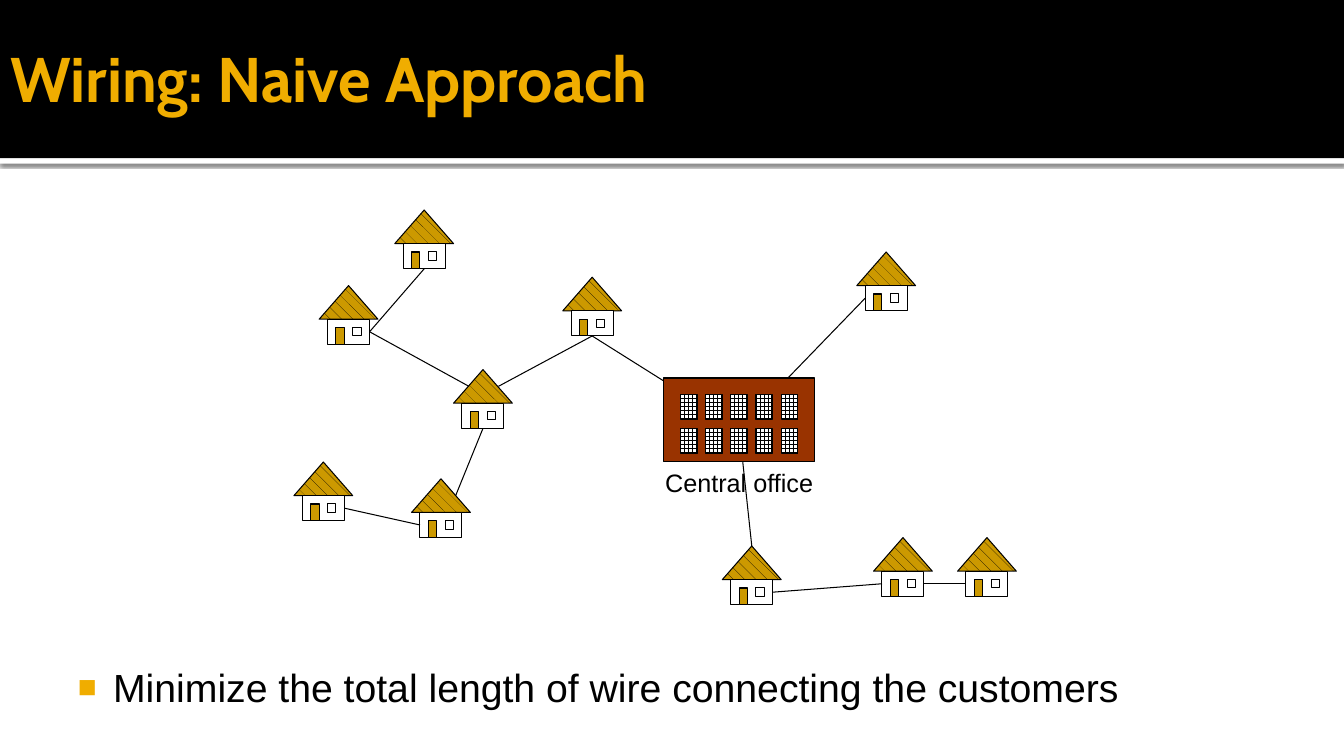
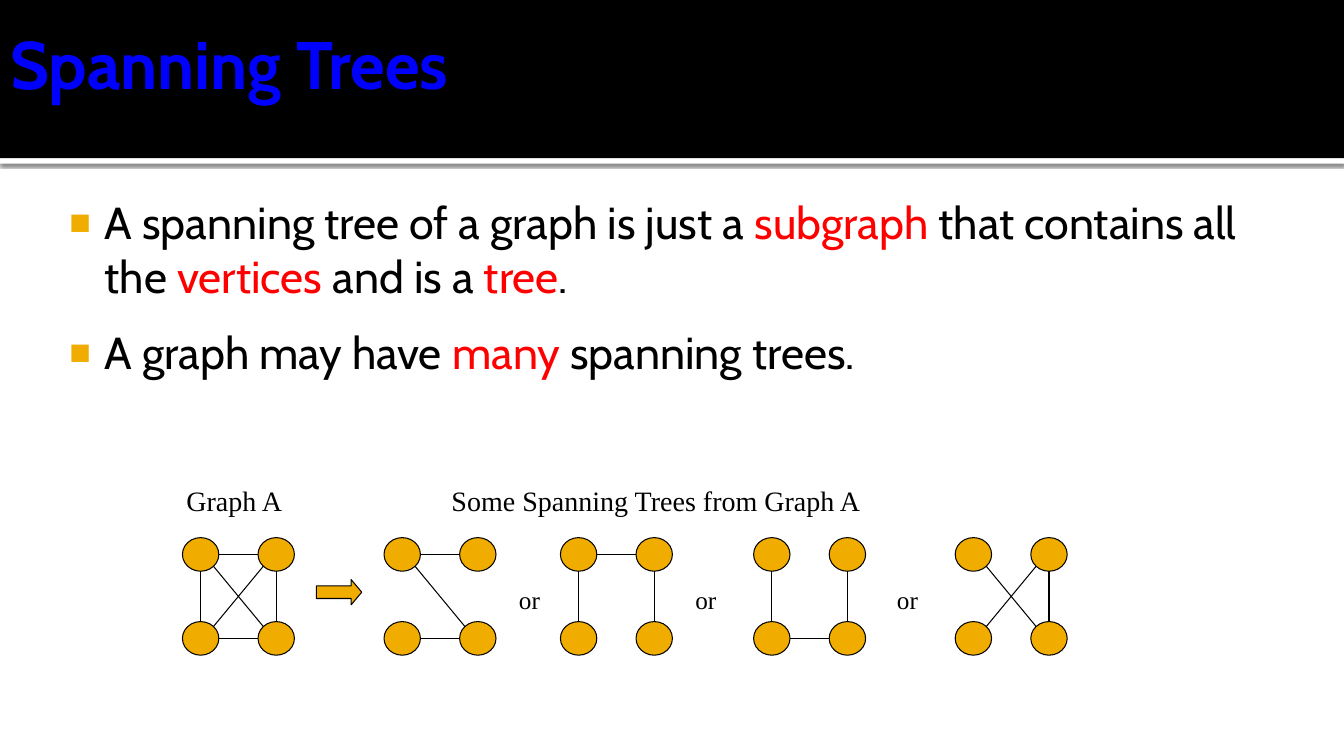
"""Build two slides on wiring a telephone network and on spanning trees."""
from lxml.etree import SubElement
from pptx import Presentation
from pptx.dml.color import RGBColor
from pptx.enum.dml import MSO_PATTERN
from pptx.enum.shapes import MSO_CONNECTOR, MSO_SHAPE
from pptx.enum.text import MSO_ANCHOR, MSO_AUTO_SIZE, PP_ALIGN
from pptx.oxml.ns import qn
from pptx.util import Pt

COLORS = {
    "black": "000000",
    "white": "FFFFFF",
    "gold": "F0AD00",
    "ochre": "CC9900",
    "brick": "993300",
    "blue": "0000FF",
    "red": "FF0000",
}
RGB = {name: RGBColor.from_string(value) for name, value in COLORS.items()}


def add_shape(s, kind, x, y, w, h, fill, pattern=None, outline=True):
    sp = s.shapes.add_shape(kind, Pt(x), Pt(y), Pt(w), Pt(h))
    sp.shadow.inherit = False
    if pattern:
        sp.fill.patterned()
        sp.fill.pattern = pattern
        sp.fill.fore_color.rgb = RGB["black"]
        sp.fill.back_color.rgb = RGB[fill]
    else:
        sp.fill.solid()
        sp.fill.fore_color.rgb = RGB[fill]
    if outline:
        sp.line.color.rgb = RGB["black"]
        sp.line.width = Pt(0.75)
    else:
        sp.line.fill.background()
    return sp


def add_line(s, x1, y1, x2, y2):
    line = s.shapes.add_connector(MSO_CONNECTOR.STRAIGHT, Pt(x1), Pt(y1), Pt(x2), Pt(y2))
    line.line.color.rgb = RGB["black"]
    line.line.width = Pt(0.75)
    SubElement(line._element.spPr, qn("a:effectLst"))


prs = Presentation()
prs.slide_width, prs.slide_height = Pt(960), Pt(540)
layout = prs.slide_layouts[5]
wiring, trees = [prs.slides.add_slide(layout) for _ in range(2)]

# The bands belong to the layout, so both slides inherit them.
rule = add_shape(wiring, MSO_SHAPE.RECTANGLE, 0, 113, 960, 4, "white", outline=False)
band = add_shape(wiring, MSO_SHAPE.RECTANGLE, 0, 0, 960, 113, "black", outline=False)
shadow = SubElement(rule._element.spPr.find(qn("a:effectLst")), qn("a:outerShdw"),
                    blurRad=str(Pt(2.5)), dist=str(Pt(0.8)), dir="5400000")
shade = SubElement(shadow, qn("a:srgbClr"), val=COLORS["black"])
SubElement(shade, qn("a:alpha"), val="60000")
for i, sp in enumerate([rule, band]):
    sp._element.nvSpPr.cNvPr.set("id", str(20 + i))
    layout.shapes.element.insert(2 + i, sp._element)

titles = [
    (wiring, "Wiring: Naive Approach", 98.6, 45, "gold"),
    (trees, "Spanning Trees", 77.8, 48, "blue"),
]
for s, text, height, size, color in titles:
    title = s.shapes.title
    title.left, title.top, title.width, title.height = Pt(0), Pt(5.8), Pt(864), Pt(height)
    tf = title.text_frame
    tf.text = text
    tf.auto_size = MSO_AUTO_SIZE.NONE
    tf.vertical_anchor = MSO_ANCHOR.MIDDLE
    tf.margin_left = Pt(7.2)
    tf.margin_right = tf.margin_top = tf.margin_bottom = Pt(3.6)
    p = tf.paragraphs[0]
    p.alignment = PP_ALIGN.LEFT
    font = p.runs[0].font
    font.name, font.size, font.bold = "Cabin", Pt(size), True
    font.color.rgb = RGB[color]

bodies = [
    (wiring, 42, 466.5, 864, 49, "Arial", 28,
     ["Minimize the total length of wire connecting the customers"]),
    (trees, 36, 132, 888, 162, "Cabin", 32,
     ["A spanning tree of a graph is just a |subgraph| that contains all the "
      "|vertices| and is a |tree|.",
      "A graph may have |many| spanning trees."]),
]
for s, x, y, w, h, face, size, bullets in bodies:
    tf = s.shapes.add_textbox(Pt(x), Pt(y), Pt(w), Pt(h)).text_frame
    tf.word_wrap = True
    tf.margin_left, tf.margin_top = Pt(4.3), Pt(7.2)
    for i, bullet in enumerate(bullets):
        p = tf.add_paragraph() if i else tf.paragraphs[0]
        if i:
            p.space_before = Pt(size / 2)
        for j, part in enumerate(bullet.split("|")):
            r = p.add_run()
            r.text = part
            r.font.name, r.font.size = face, Pt(size)
            r.font.color.rgb = RGB["red" if j % 2 else "black"]
        pPr = p._p.get_or_add_pPr()
        pPr.set("marL", str(Pt(34.5)))
        pPr.set("indent", str(Pt(-25.2)))
        SubElement(SubElement(pPr, qn("a:buClr")), qn("a:srgbClr"), val=COLORS["gold"])
        SubElement(pPr, qn("a:buSzPct"), val="80000")
        SubElement(pPr, qn("a:buFont"), typeface="Arial")
        SubElement(pPr, qn("a:buChar"), char="■")

houses = [(210, 330), (516, 390), (402, 198), (612, 180), (324, 264),
          (228, 204), (282, 150), (294, 342), (684, 384), (624, 384)]
for x, y in houses:
    add_shape(wiring, MSO_SHAPE.ISOSCELES_TRIANGLE, x, y, 42, 24, "ochre", MSO_PATTERN.SHINGLE)
    add_shape(wiring, MSO_SHAPE.RECTANGLE, x + 6, y + 24, 30, 18, "white")
    add_shape(wiring, MSO_SHAPE.RECTANGLE, x + 12, y + 30, 6, 12, "ochre")
    add_shape(wiring, MSO_SHAPE.RECTANGLE, x + 24, y + 30, 6, 6, "white")

wires = [
    (528, 306, 618, 213), (528, 306, 537, 390), (528, 306, 423, 240),
    (423, 240, 356, 276), (335, 276, 264, 237), (264, 237, 303, 192),
    (345, 306, 325.5, 354), (300, 375, 246, 363), (552, 423, 630, 417),
    (660, 417, 690, 417),
]
for wire in wires:
    add_line(wiring, *wire)

add_shape(wiring, MSO_SHAPE.RECTANGLE, 474, 270, 108, 60, "brick")
for row in range(2):
    for col in range(5):
        add_shape(wiring, MSO_SHAPE.RECTANGLE, 486 + 18 * col, 282 + 24 * row, 12, 18,
                  "white", MSO_PATTERN.LARGE_GRID)

NODE_W, NODE_H, STEP_X, STEP_Y = 26, 24, 54, 60
TL, TR, BL, BR = (0, 0), (1, 0), (0, 1), (1, 1)
graphs = [
    (130.3, [(TL, TR), (TL, BL), (BL, BR), (TR, BR), (TR, BL), (TL, BR)]),
    (274.3, [(TL, TR), (BL, BR), (TL, BR)]),
    (400.3, [(TL, TR), (TL, BL), (TR, BR)]),
    (538.3, [(TL, BL), (BL, BR), (TR, BR)]),
    (682.3, [(TR, BR), (TR, BL), (TL, BR)]),
]
for left, edges in graphs:
    for col, row in [TL, TR, BL, BR]:
        add_shape(trees, MSO_SHAPE.OVAL, left + STEP_X * col, 384 + STEP_Y * row,
                  NODE_W, NODE_H, "gold")
    for (c1, r1), (c2, r2) in edges:
        reach = 0.71 if c1 != c2 and r1 != r2 else 1
        dx = (c2 - c1) * reach * NODE_W / 2
        dy = (r2 - r1) * reach * NODE_H / 2
        cx, cy = left + NODE_W / 2, 384 + NODE_H / 2
        add_line(trees, cx + STEP_X * c1 + dx, cy + STEP_Y * r1 + dy,
                 cx + STEP_X * c2 - dx, cy + STEP_Y * r2 - dy)

arrow = add_shape(trees, MSO_SHAPE.RIGHT_ARROW, 226, 414, 32.4, 18, "gold")
arrow.adjustments[1] = 0.42

labels = [
    (wiring, "Central office", 468, 330, 126, "Arial", 18),
    (trees, "or", 363.6, 414, 32.4, "Times New Roman", 18),
    (trees, "or", 489.6, 414, 32.4, "Times New Roman", 18),
    (trees, "or", 633.6, 414, 32.4, "Times New Roman", 18),
    (trees, "Some Spanning Trees from Graph A", 315.4, 342, 399, "Times New Roman", 20),
    (trees, "Graph A", 126, 342, 90, "Times New Roman", 20),
]
for s, text, x, y, w, face, size in labels:
    tf = s.shapes.add_textbox(Pt(x), Pt(y), Pt(w), Pt(size * 1.2 + 7.2)).text_frame
    tf.word_wrap = True
    tf.text = text
    font = tf.paragraphs[0].runs[0].font
    font.name, font.size = face, Pt(size)
    font.color.rgb = RGB["black"]

prs.save("out.pptx")
